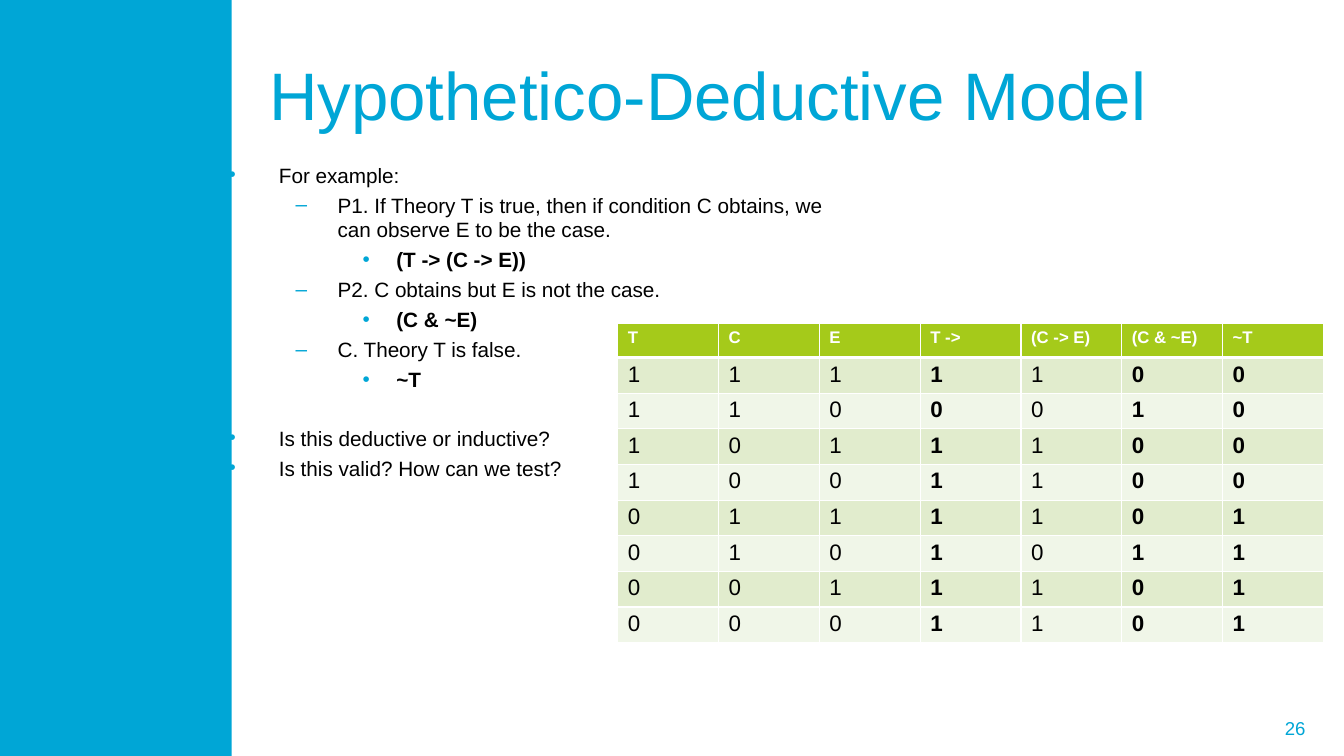
from lxml.etree import SubElement
from pptx import Presentation
from pptx.dml.color import RGBColor
from pptx.enum.shapes import MSO_SHAPE as Shape
from pptx.enum.text import MSO_ANCHOR as Anchor, PP_ALIGN as Align
from pptx.oxml.ns import qn
from pptx.util import Cm, Pt

BLUE, BLACK, WHITE = "00A6D6", "000000", "FFFFFF"
HEADER_GREEN, BANDS = "A5CA1A", ("E1ECCD", "F0F6E8")


def style(font, size, color, bold=False):
    font.name = "Arial"
    font.size = Pt(size)
    font.bold = bold
    font.color.rgb = RGBColor.from_string(color)


def add_xml(parent, tag, **attributes):
    return SubElement(parent, qn(tag), attributes)


deck = Presentation()
deck.slide_width, deck.slide_height = Cm(33.87), Cm(19.05)
page = deck.slides.add_slide(deck.slide_layouts[5])

sidebar = page.shapes.add_shape(Shape.RECTANGLE, 0, 0, Cm(5.84), Cm(19.05))
sidebar.shadow.inherit = False
sidebar.fill.solid()
sidebar.fill.fore_color.rgb = RGBColor.from_string(BLUE)
sidebar.line.fill.background()

title = page.shapes.title
title.left, title.top, title.width, title.height = Cm(6.53), Cm(0.76), Cm(26.31), Cm(3.18)
title.text_frame.text = "Hypothetico-Deductive Model"
title.text_frame.vertical_anchor = Anchor.MIDDLE
title.text_frame.paragraphs[0].alignment = Align.LEFT
style(title.text_frame.paragraphs[0].runs[0].font, 48, BLUE)

argument = [
    (0, "For example:"),
    (1, "P1. If Theory T is true, then if condition C obtains, we can observe E to be the case."),
    (2, "(T -> (C -> E))"),
    (1, "P2. C obtains but E is not the case."),
    (2, "(C & ~E)"),
    (1, "C. Theory T is false."),
    (2, "~T"),
    (0, "Is this deductive or inductive?"),
    (0, "Is this valid? How can we test?"),
]
bullets = [("•", 1.27, 1.27), ("–", 2.75, 1.06), ("•", 4.23, 0.85)]

box = page.shapes.add_textbox(Cm(5.51), Cm(3.97), Cm(15.52), Cm(8.2))
box.text_frame.word_wrap = True
previous_level = 0
for number, (level, text) in enumerate(argument):
    para = box.text_frame.add_paragraph() if number else box.text_frame.paragraphs[0]
    para.text = text
    para.level = level
    if number:
        starts_questions = level == 0 and previous_level == 2
        para.space_before = Pt(24.3 if starts_questions else 3.6)
    mark, margin, hanging = bullets[level]
    properties = para._p.get_or_add_pPr()
    properties.set("marL", str(Cm(margin)))
    properties.set("indent", str(-Cm(hanging)))
    add_xml(add_xml(properties, "a:buClr"), "a:srgbClr", val=BLUE)
    add_xml(properties, "a:buFont", typeface="Arial")
    add_xml(properties, "a:buChar", char=mark)
    style(para.runs[0].font, 14.8, BLACK, bold=level == 2)
    previous_level = level

headings = ["T", "C", "E", "T ->", "(C -> E)", "(C & ~E)", "~T"]
truth_rows = ["1111100", "1100010", "1011100", "1001100",
              "0111101", "0101011", "0011101", "0001101"]
bold_columns = (3, 5, 6)

table = page.shapes.add_table(9, 7, Cm(15.57), Cm(8.15), Cm(17.78), Cm(7.9)).table
for column in table.columns:
    column.width = Cm(2.54)
for row_number, values in enumerate([headings] + truth_rows):
    is_header = row_number == 0
    table.rows[row_number].height = Cm(0.86 if is_header else 0.88)
    for column_number, value in enumerate(values):
        cell = table.cell(row_number, column_number)
        cell.text = value
        cell.margin_top = Cm(0.13 if is_header else 0.11)
        cell.margin_bottom = Cm(0.11)
        for side in ("L", "R", "T", "B"):
            heavy = (is_header and side == "B") or (row_number == 1 and side == "T")
            border = add_xml(cell._tc.get_or_add_tcPr(), f"a:ln{side}", w=str(Pt(3 if heavy else 1)))
            add_xml(add_xml(border, "a:solidFill"), "a:srgbClr", val=WHITE)
        cell.fill.solid()
        fill = HEADER_GREEN if is_header else BANDS[(row_number - 1) % 2]
        cell.fill.fore_color.rgb = RGBColor.from_string(fill)
        font = cell.text_frame.paragraphs[0].runs[0].font
        if is_header:
            style(font, 12, WHITE, bold=True)
        else:
            style(font, 16, BLACK, bold=column_number in bold_columns)

page_number = page.shapes.add_textbox(Cm(24.64), Cm(17.83), Cm(8.59), Cm(1.02))
page_number.text_frame.word_wrap = True
page_number.text_frame.vertical_anchor = Anchor.MIDDLE
page_number.text_frame.margin_right = Cm(0.33)
page_number.text_frame.text = "26"
page_number.text_frame.paragraphs[0].alignment = Align.RIGHT
style(page_number.text_frame.paragraphs[0].runs[0].font, 13.3, BLUE)

deck.save("out.pptx")
